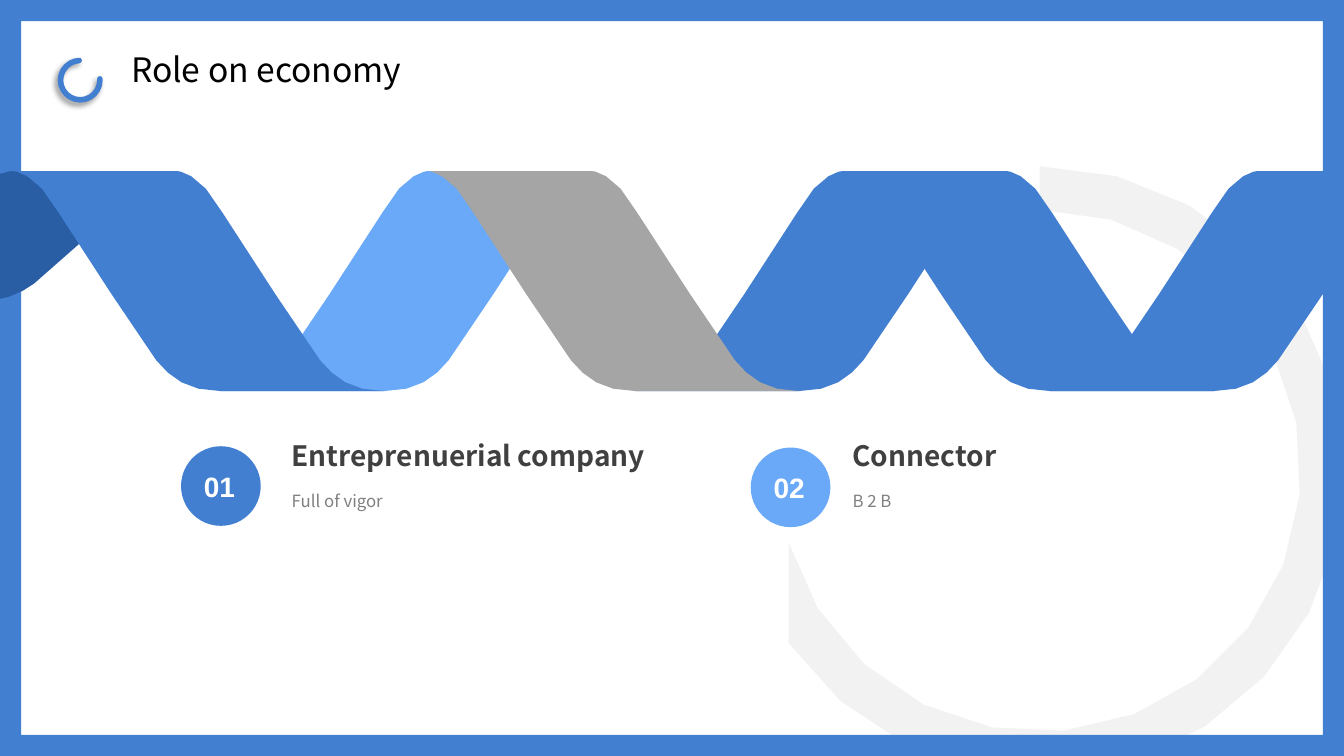
from dataclasses import dataclass
from math import acos, cos, pi, sin

from lxml import etree
from pptx import Presentation
from pptx import util as u
from pptx.dml.color import RGBColor
from pptx.enum import shapes, text
from pptx.oxml.ns import qn

BLUE = RGBColor(0x42, 0x7F, 0xD0)
LIGHT_BLUE = RGBColor(0x69, 0xA9, 0xF7)
DARK_BLUE = RGBColor(0x29, 0x5E, 0xA5)
GREY = RGBColor(0xA5, 0xA5, 0xA5)
PALE_GREY = RGBColor(0xF2, 0xF2, 0xF2)
HEADING_GREY = RGBColor(0x40, 0x40, 0x40)
CAPTION_GREY = RGBColor(0x80, 0x80, 0x80)
BLACK = RGBColor(0, 0, 0)
WHITE = RGBColor(0xFF, 0xFF, 0xFF)

WIDTH, HEIGHT = u.Inches(13.33), u.Inches(7.5)
SANS = "Noto Sans CJK SC"
Point = tuple[float, float]


def col(percent: float) -> int:
    return round(WIDTH * percent / 100)


def row(percent: float) -> int:
    return round(HEIGHT * percent / 100)


@dataclass
class Band:
    step: int
    colour: RGBColor
    height: float = 29.1


@dataclass
class Bend:
    segments: int
    curve: list[Point]


@dataclass
class Role:
    number: str
    heading: str
    caption: str
    badge_left: float
    badge_top: float
    text_left: float
    heading_width: float
    colour: RGBColor


BAND_START, BAND_TOP, BAND_PITCH, BAND_THICKNESS = 0.98, 22.63, 15.43, 0.79
BAND_EDGE = [
    Bend(4, [(0, 0), (0, 0), (0.11, 0), (0.22, 0.19)]),
    Bend(2, [(0.22, 0.19), (0.33, 0.35), (0.63, 0.79), (0.69, 0.86)]),
    Bend(4, [(0.69, 0.86), (0.76, 0.94), (0.84, 1), (1, 1)]),
]
BANDS = [
    Band(5, BLUE),
    Band(3, BLUE),
    Band(4, BLUE),
    Band(1, LIGHT_BLUE),
    Band(2, GREY),
    Band(-1, DARK_BLUE, 17.33),
    Band(0, BLUE),
]
RING_SEGMENTS = 16
ROLES = [
    Role("01", "Entreprenuerial company", "Full of vigor", 13.47, 59.03, 20.97, 31.43, BLUE),
    Role("02", "Connector", "B 2 B", 55.86, 59.2, 62.7, 12.83, LIGHT_BLUE),
]
NUMBER_FONT = {"name": "Arial", "size": u.Pt(20), "bold": True}
HEADING_FONT = {"name": SANS, "size": u.Pt(20), "bold": True}
CAPTION_FONT = {"name": SANS, "size": u.Pt(12)}
TITLE_FONT = {"name": SANS, "size": u.Pt(24), "bold": False}
NUMBER_FRAME = {
    "margin_left": 0,
    "margin_right": 0,
    "margin_top": u.Inches(0.11),
    "margin_bottom": u.Inches(0.11),
    "vertical_anchor": text.MSO_ANCHOR.MIDDLE,
}
GROWING_FRAME = {
    "auto_size": text.MSO_AUTO_SIZE.SHAPE_TO_FIT_TEXT,
    "vertical_anchor": text.MSO_ANCHOR.TOP,
}


def apply(target, values: dict) -> None:
    for key, value in values.items():
        setattr(target, key, value)


def paint(sp, colour: RGBColor) -> None:
    sp.shadow.inherit = False
    sp.fill.solid()
    sp.fill.fore_color.rgb = colour
    sp.line.fill.background()


def write(sp, words: str, font: dict, colour: RGBColor, frame: dict, paragraph: dict) -> None:
    tf = sp.text_frame
    tf.word_wrap = True
    apply(tf, frame)
    p = tf.paragraphs[0]
    apply(p, paragraph)
    r = p.add_run()
    r.text = words
    apply(r.font, font)
    r.font.color.rgb = colour


def draw_outline(slide, points: list[Point], colour: RGBColor) -> None:
    builder = slide.shapes.build_freeform(*points[0])
    builder.add_line_segments(points[1:], close=True)
    paint(builder.convert_to_shape(), colour)


def bezier(curve: list[Point], t: float) -> Point:
    weights = ((1 - t) ** 3, 3 * t * (1 - t) ** 2, 3 * t * t * (1 - t), t**3)
    return (
        sum(w * x for w, (x, _) in zip(weights, curve)),
        sum(w * y for w, (_, y) in zip(weights, curve)),
    )


def draw_band(slide, band: Band) -> None:
    edge = [bezier(b.curve, i / b.segments) for b in BAND_EDGE for i in range(b.segments)]
    edge.append((1, 1))
    outline = edge + [(x + BAND_THICKNESS, y) for x, y in reversed(edge)]
    if band.step % 2:
        outline = [(1 + BAND_THICKNESS - x, y) for x, y in outline]
    points = [
        (col(BAND_START + BAND_PITCH * (band.step + x)), row(BAND_TOP + band.height * y))
        for x, y in outline
    ]
    draw_outline(slide, points, band.colour)


def arc_points(radius: float, cut: float) -> list[Point]:
    start, end = -pi / 2, acos(-cut / radius)
    angles = [start + (end - start) * i / RING_SEGMENTS for i in range(RING_SEGMENTS + 1)]
    return [
        (col(77.36 + radius * cos(a)), row(62.27) + col(radius * sin(a)))
        for a in angles
    ]


def draw_background(slide) -> None:
    ring = arc_points(22.66, 18.68) + arc_points(19.43, 18.68)[::-1]
    draw_outline(slide, ring, PALE_GREY)
    frame = slide.shapes.add_shape(shapes.MSO_SHAPE.FRAME, 0, 0, WIDTH, HEIGHT)
    frame.adjustments[0] = 0.028
    paint(frame, BLUE)


def draw_role(slide, role: Role) -> None:
    badge = slide.shapes.add_shape(
        shapes.MSO_SHAPE.ROUNDED_RECTANGLE,
        col(role.badge_left), row(role.badge_top), col(5.93), row(10.53),
    )
    badge.adjustments[0] = 0.5
    paint(badge, role.colour)
    number = slide.shapes.add_textbox(
        col(role.badge_left + 0.45), row(role.badge_top + 1.33), col(4.8), row(7.07)
    )
    write(number, role.number, NUMBER_FONT, WHITE, NUMBER_FRAME,
          {"alignment": text.PP_ALIGN.CENTER, "line_spacing": 1.2})
    caption = slide.shapes.add_textbox(col(role.text_left), row(63.25), col(28.66), row(5.07))
    write(caption, role.caption, CAPTION_FONT, CAPTION_GREY, GROWING_FRAME,
          {"line_spacing": u.Pt(20)})
    heading = slide.shapes.add_textbox(
        col(role.text_left), row(57.33), col(role.heading_width), row(5.87)
    )
    write(heading, role.heading, HEADING_FONT, HEADING_GREY, GROWING_FRAME, {})


def draw_title(slide) -> None:
    sp = slide.shapes.add_shape(shapes.MSO_SHAPE.ARC, col(4.5), row(8), col(2.93), row(5.2))
    sp.rotation = 180
    sp.adjustments[0], sp.adjustments[1] = 105.7, 52.16
    sp.fill.background()
    sp.line.color.rgb = BLUE
    sp.line.width = u.Pt(4)
    sp.element.spPr.find(qn("a:ln")).set("cap", "rnd")
    sp.shadow.inherit = False
    effects = sp.element.spPr.find(qn("a:effectLst"))
    shadow = etree.SubElement(effects, qn("a:outerShdw"), blurRad=str(u.Pt(4)),
                              dist=str(u.Pt(3)), dir="8100000", rotWithShape="0")
    tint = etree.SubElement(shadow, qn("a:srgbClr"), val="000000")
    etree.SubElement(tint, qn("a:alpha"), val="40000")
    title = slide.shapes.title
    apply(title, {"left": col(9), "top": row(5.75), "width": col(38.26), "height": row(6.67)})
    write(title, "Role on economy", TITLE_FONT, BLACK, GROWING_FRAME,
          {"alignment": text.PP_ALIGN.LEFT})


def main() -> None:
    prs = Presentation()
    prs.slide_width, prs.slide_height = WIDTH, HEIGHT
    slide = prs.slides.add_slide(prs.slide_layouts[5])
    draw_background(slide)
    for band in BANDS:
        draw_band(slide, band)
    for role in ROLES:
        draw_role(slide, role)
    draw_title(slide)
    prs.save("out.pptx")


if __name__ == "__main__":
    main()
